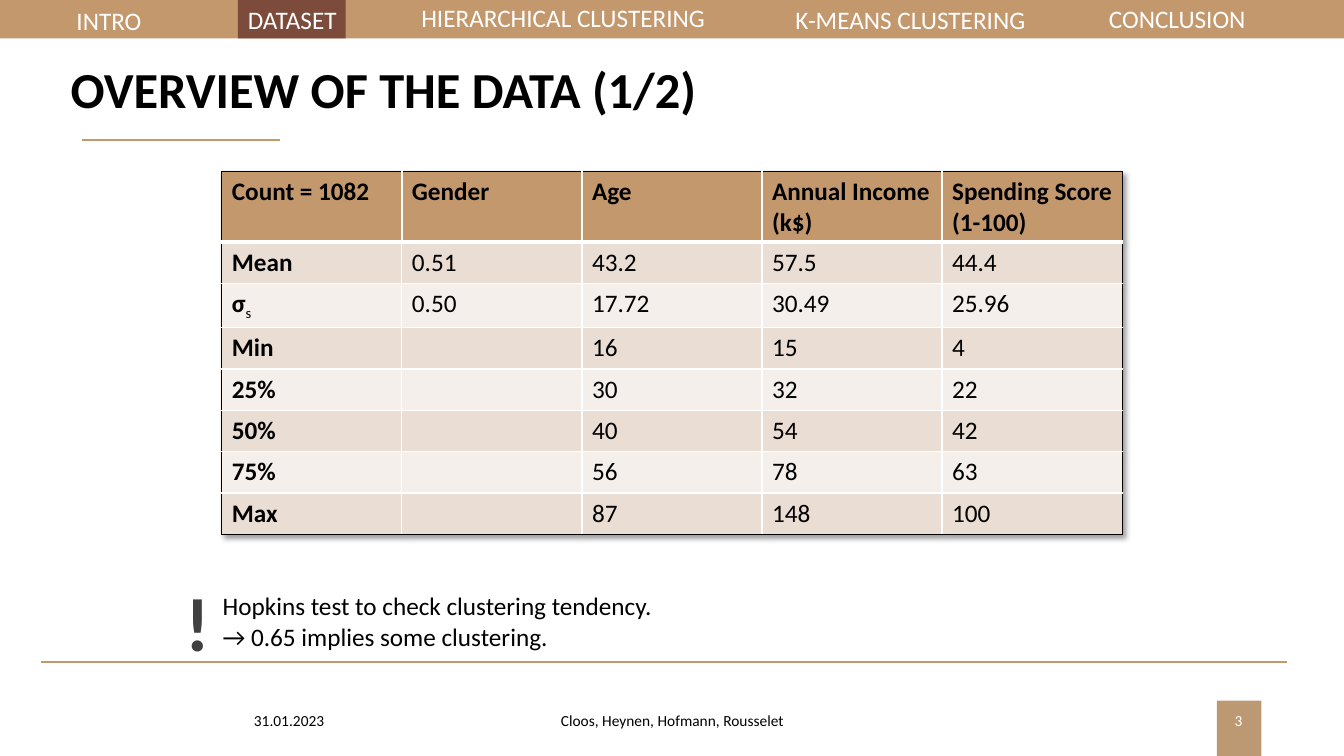
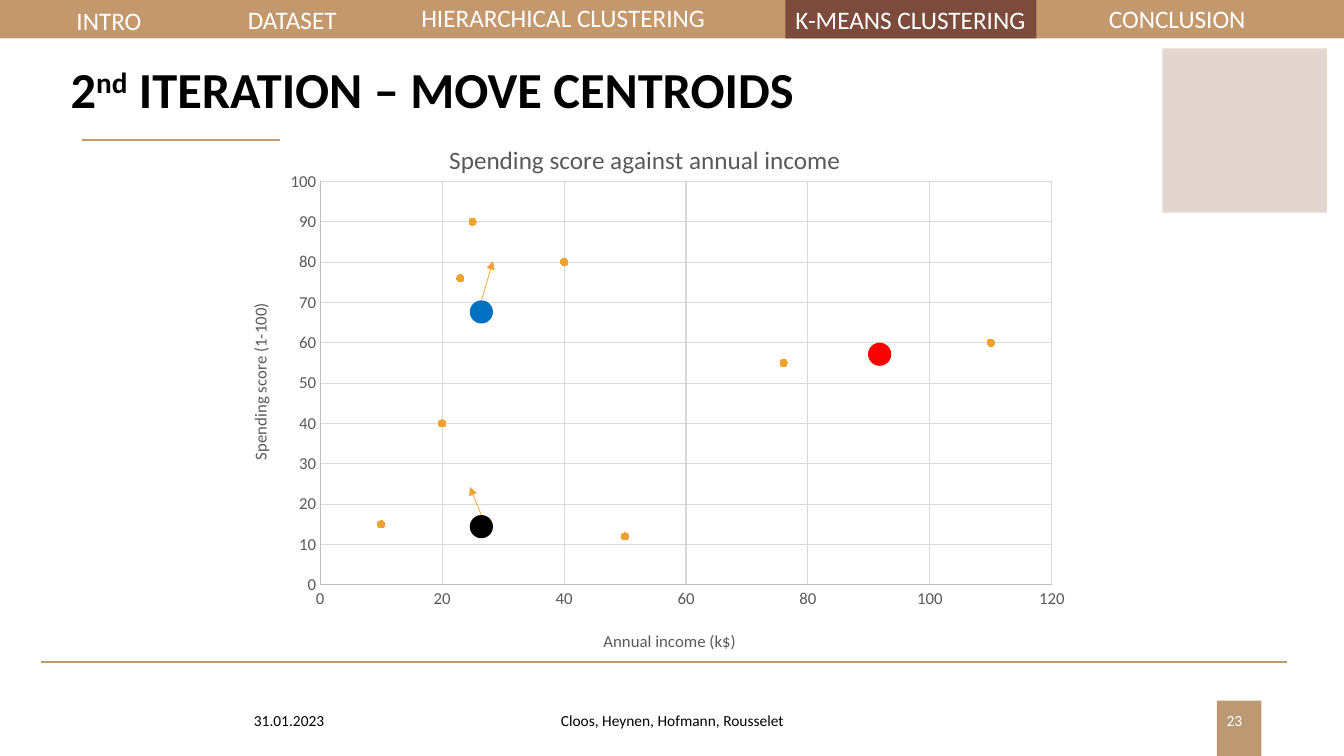
from dataclasses import dataclass

from lxml.etree import SubElement
from pptx import Presentation
from pptx.chart.data import XyChartData
from pptx.dml.color import RGBColor
from pptx.enum.chart import XL_CHART_TYPE, XL_MARKER_STYLE, XL_TICK_MARK
from pptx.enum.shapes import MSO_CONNECTOR, MSO_SHAPE
from pptx.enum.text import MSO_ANCHOR, MSO_AUTO_SIZE, PP_ALIGN
from pptx.oxml import parse_xml
from pptx.oxml.ns import nsdecls, qn
from pptx.util import Inches, Pt


@dataclass(frozen=True)
class Theme:
    font: str = "Calibri"
    tan: str = "C3986D"
    page_tan: str = "BD9973"
    brown: str = "7C4B3B"
    pale: str = "E2D6CF"
    odd_row: str = "E9DDD4"
    even_row: str = "F5EFEB"
    orange: str = "F0A22E"
    blue: str = "0070C0"
    red: str = "FF0000"
    black: str = "000000"
    white: str = "FFFFFF"
    mark: str = "404040"
    chart_text: str = "595959"
    axis: str = "BFBFBF"
    grid: str = "D9D9D9"
    title_size: int = 36
    body_size: int = 18
    mark_size: int = 54
    axis_size: int = 12
    footer_size: int = 11


theme = Theme()


def add_runs(paragraph, runs, size, colour, bold=False):
    for text, baseline in runs:
        run = paragraph.add_run()
        run.text = text
        run.font.name = theme.font
        run.font.size = Pt(size)
        run.font.bold = bold
        run.font.color.rgb = RGBColor.from_string(colour)
        if baseline:
            run.font._element.set("baseline", str(baseline * 1000))


def add_filled(slide, kind, box, colour):
    shape = slide.shapes.add_shape(kind, *map(Inches, box))
    shape.shadow.inherit = False
    shape.fill.solid()
    shape.fill.fore_color.rgb = RGBColor.from_string(colour)
    shape.line.fill.background()
    return shape


prs = Presentation()
prs.slide_width = Inches(13.33)
prs.slide_height = Inches(7.5)

sections = [
    ("INTRO", (0.66, 0, 0.89, 0.4)),
    ("DATASET", (2.36, -0.01, 1.1, 0.4)),
    ("HIERARCHICAL CLUSTERING", (4.08, -0.03, 3.22, 0.4)),
    ("K-MEANS CLUSTERING", (7.79, -0.01, 2.55, 0.4)),
    ("CONCLUSION", (10.9, -0.02, 1.7, 0.4)),
]
pages = [
    ([("OVERVIEW OF THE DATA (1/2)", 0)], "3", (2.36, 0, 1.07, 0.38)),
    ([("2", 0), ("nd", 30), (" ITERATION – MOVE CENTROIDS", 0)], "23", (7.79, 0, 2.49, 0.38)),
]
lines = []
slides = []

for title_runs, number, active_section in pages:
    slide = prs.slides.add_slide(prs.slide_layouts[5])
    slides.append(slide)
    title = slide.shapes.title
    title.left, title.top, title.width, title.height = map(Inches, (0.6, 0.62, 12.13, 0.59))
    title.text_frame.auto_size = MSO_AUTO_SIZE.NONE
    title.text_frame.vertical_anchor = MSO_ANCHOR.MIDDLE
    heading = title.text_frame.paragraphs[0]
    heading.alignment = PP_ALIGN.LEFT
    heading.line_spacing = 0.9
    add_runs(heading, title_runs, theme.title_size, theme.black, True)

    for box, colour in [
        ((12.07, 6.95, 0.44, 0.55), theme.page_tan),
        ((0, 0, 13.33, 0.38), theme.tan),
        (active_section, theme.brown),
    ]:
        add_filled(slide, MSO_SHAPE.RECTANGLE, box, colour)

    for left, right, height in [(0.41, 12.76, 6.57), (0.81, 2.78, 1.39)]:
        rule = slide.shapes.add_connector(
            MSO_CONNECTOR.STRAIGHT, *map(Inches, (left, height, right, height)))
        rule.line.color.rgb = RGBColor.from_string(theme.tan)
        rule.line.width = Pt(1.5)
        lines.append(rule)

    footers = [
        ("31.01.2023", (2.42, 6.95, 3, 0.4), theme.black, PP_ALIGN.LEFT),
        ("Cloos, Heynen, Hofmann, Rousselet", (4.42, 6.95, 4.5, 0.4), theme.black, PP_ALIGN.CENTER),
        (number, (9.42, 6.95, 3, 0.4), theme.white, PP_ALIGN.RIGHT),
    ]
    labels = [(text, box, theme.white, PP_ALIGN.LEFT, theme.body_size, MSO_ANCHOR.TOP)
              for text, box in sections]
    labels += [footer + (theme.footer_size, MSO_ANCHOR.MIDDLE) for footer in footers]
    for text, box, colour, alignment, size, anchor in labels:
        frame = slide.shapes.add_textbox(*map(Inches, box)).text_frame
        frame.word_wrap = True
        frame.vertical_anchor = anchor
        frame.paragraphs[0].alignment = alignment
        add_runs(frame.paragraphs[0], [(text, 0)], size, colour)

overview, centroids = slides

statistics = [
    ("Count = 1082", "Gender", "Age", "Annual Income (k$)", "Spending Score (1-100)"),
    ("Mean", "0.51", "43.2", "57.5", "44.4"),
    ("σ", "0.50", "17.72", "30.49", "25.96"),
    ("Min", "", "16", "15", "4"),
    ("25%", "", "30", "32", "22"),
    ("50%", "", "40", "54", "42"),
    ("75%", "", "56", "78", "63"),
    ("Max", "", "87", "148", "100"),
]
row_heights = [0.7, 0.41, 0.43] + [0.41] * 5
last_row, last_column = len(statistics) - 1, len(statistics[0]) - 1
table = overview.shapes.add_table(
    last_row + 1, last_column + 1, Inches(2.2), Inches(1.7), Inches(8.93), Inches(sum(row_heights))).table
table.first_row = False
table.horz_banding = False
table._tbl.tblPr.insert(0, parse_xml(
    f'<a:effectLst {nsdecls("a")}><a:outerShdw blurRad="50800" dist="38100" dir="2700000" algn="tl">'
    '<a:prstClr val="black"><a:alpha val="40000"/></a:prstClr></a:outerShdw></a:effectLst>'))

for row, (values, height) in enumerate(zip(statistics, row_heights)):
    table.rows[row].height = Inches(height)
    for column, value in enumerate(values):
        cell = table.cell(row, column)
        edges = {
            "a:lnL": (column == 0, 1 if row else 1.5),
            "a:lnR": (column == last_column, 1 if row else 1.5),
            "a:lnT": (row == 0, 3 if row == 1 else 1),
            "a:lnB": (row == last_row, 1 if row else 3),
        }
        for tag, (outer, inner_width) in edges.items():
            edge = SubElement(cell._tc.get_or_add_tcPr(), qn(tag),
                              w=str(Pt(1 if outer else inner_width)))
            edge_fill = SubElement(edge, qn("a:solidFill"))
            SubElement(edge_fill, qn("a:srgbClr"), val=theme.black if outer else theme.white)
        cell.fill.solid()
        row_colour = theme.odd_row if row % 2 else theme.even_row
        cell.fill.fore_color.rgb = RGBColor.from_string(row_colour if row else theme.tan)
        entry = cell.text_frame.paragraphs[0]
        if value:
            add_runs(entry, [(value, 0)], theme.body_size, theme.black, row == 0 or column == 0)
        if value == "σ":
            add_runs(entry, [("s", -25)], theme.body_size, theme.black)

for column in table.columns:
    column.width = Inches(8.93 / (last_column + 1))

remarks = [
    (("Hopkins test to check clustering tendency.", "→ 0.65 implies some clustering."),
     (2.11, 5.81, 9.18, 0.71), theme.body_size, theme.black, False),
    (("!",), (1.74, 5.66, 0.5, 1.01), theme.mark_size, theme.mark, True),
]
for texts, box, size, colour, bold in remarks:
    frame = overview.shapes.add_textbox(*map(Inches, box)).text_frame
    frame.word_wrap = True
    for index, text in enumerate(texts):
        paragraph = frame.add_paragraph() if index else frame.paragraphs[0]
        add_runs(paragraph, [(text, 0)], size, colour, bold)

add_filled(centroids, MSO_SHAPE.RECTANGLE, (11.53, 0.48, 1.63, 1.63), theme.pale)

customers = XyChartData()
scores = customers.add_series("Series 1")
for income, score in [(20, 40), (40, 80), (110, 60), (50, 12), (25, 90), (76, 55), (23, 76), (10, 15)]:
    scores.add_data_point(income, score)
chart = centroids.shapes.add_chart(
    XL_CHART_TYPE.XY_SCATTER, *map(Inches, (2.18, 1.1, 8.58, 5.42)), customers).chart
chart.has_legend = False
chart.font.name = theme.font
chart.font.size = Pt(theme.axis_size)
chart.font.color.rgb = RGBColor.from_string(theme.chart_text)
chart.plots[0].vary_by_categories = False
points = chart.plots[0].series[0]
points.smooth = False
points.format.line.fill.background()
points.marker.style = XL_MARKER_STYLE.CIRCLE
points.marker.size = 5
points.marker.format.fill.solid()
points.marker.format.fill.fore_color.rgb = RGBColor.from_string(theme.orange)
points.marker.format.line.color.rgb = RGBColor.from_string(theme.orange)

for axis, maximum, step in [(chart.category_axis, 120, 20), (chart.value_axis, 100, 10)]:
    axis.minimum_scale, axis.maximum_scale, axis.major_unit = 0, maximum, step
    axis.major_tick_mark = axis.minor_tick_mark = XL_TICK_MARK.NONE
    axis.has_major_gridlines = True
    for line, colour in [(axis.format.line, theme.axis),
                         (axis.major_gridlines.format.line, theme.grid)]:
        line.color.rgb = RGBColor.from_string(colour)
        line.width = Pt(0.75)

chart_titles = [
    (chart.chart_title, "Spending score against annual income", theme.body_size, 0.26, 0.05),
    (chart.category_axis.axis_title, "Annual income (k$)", theme.axis_size, 0.44, 0.95),
    (chart.value_axis.axis_title, "Spending score (1-100)", theme.axis_size, 0.03, 0.35),
]
layouts = []
for caption, text, size, x, y in chart_titles:
    add_runs(caption.text_frame.paragraphs[0], [(text, 0)], size, theme.chart_text)
    layouts.append((caption._element, 1, {"xMode": "edge", "yMode": "edge", "x": x, "y": y}))
upright = chart.value_axis.axis_title.text_frame._txBody.find(qn("a:bodyPr"))
upright.set("rot", "-5400000")
upright.set("vert", "horz")

layouts.append((chart._chartSpace.chart.plotArea, 0, {
    "layoutTarget": "inner", "xMode": "edge", "yMode": "edge",
    "x": 0.116, "y": 0.13, "w": 0.846, "h": 0.742}))
for parent, position, settings in layouts:
    for automatic in parent.findall(qn("c:layout")):
        parent.remove(automatic)
    layout = parse_xml(f'<c:layout {nsdecls("c")}><c:manualLayout/></c:layout>')
    for name, value in settings.items():
        SubElement(layout[0], qn(f"c:{name}"), val=str(value))
    parent.insert(position, layout)

for left, top, colour, target in [
    (4.66, 2.98, theme.blue, (4.89, 2.59)),
    (8.61, 3.4, theme.red, None),
    (4.66, 5.11, theme.black, (4.66, 4.83)),
]:
    centroid = add_filled(centroids, MSO_SHAPE.OVAL, (left, top, 0.23, 0.23), colour)
    if target:
        end_x, end_y = map(Inches, target)
        move = centroids.shapes.add_connector(MSO_CONNECTOR.STRAIGHT, 0, 0, end_x, end_y)
        move.begin_connect(centroid, 0)
        move.line.color.rgb = RGBColor.from_string(theme.orange)
        move.line.width = Pt(0.5)
        SubElement(move.line._get_or_add_ln(), qn("a:tailEnd"), type="triangle")
        lines.append(move)

for line in lines:
    SubElement(line._element.spPr, qn("a:effectLst"))

prs.save("out.pptx")
